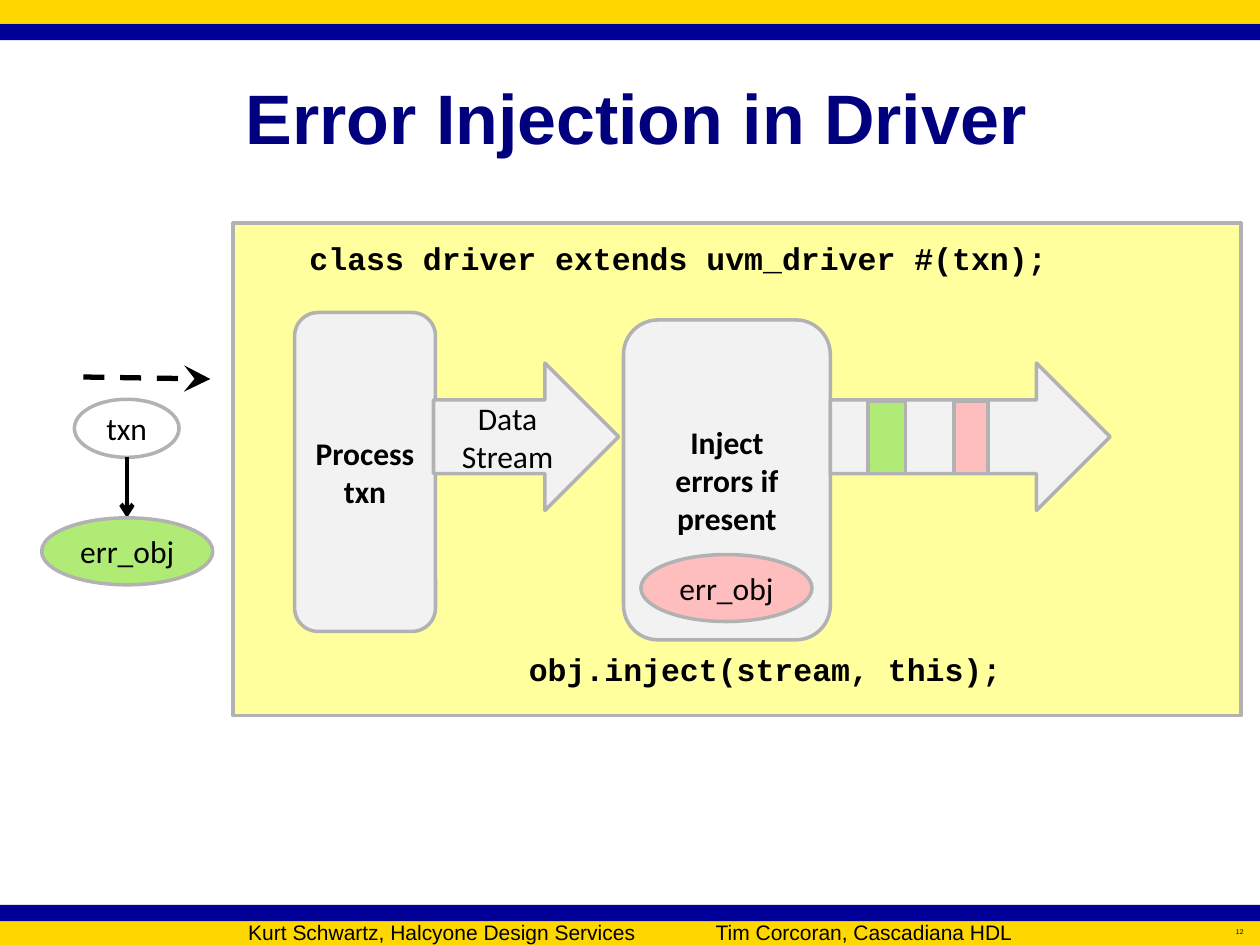
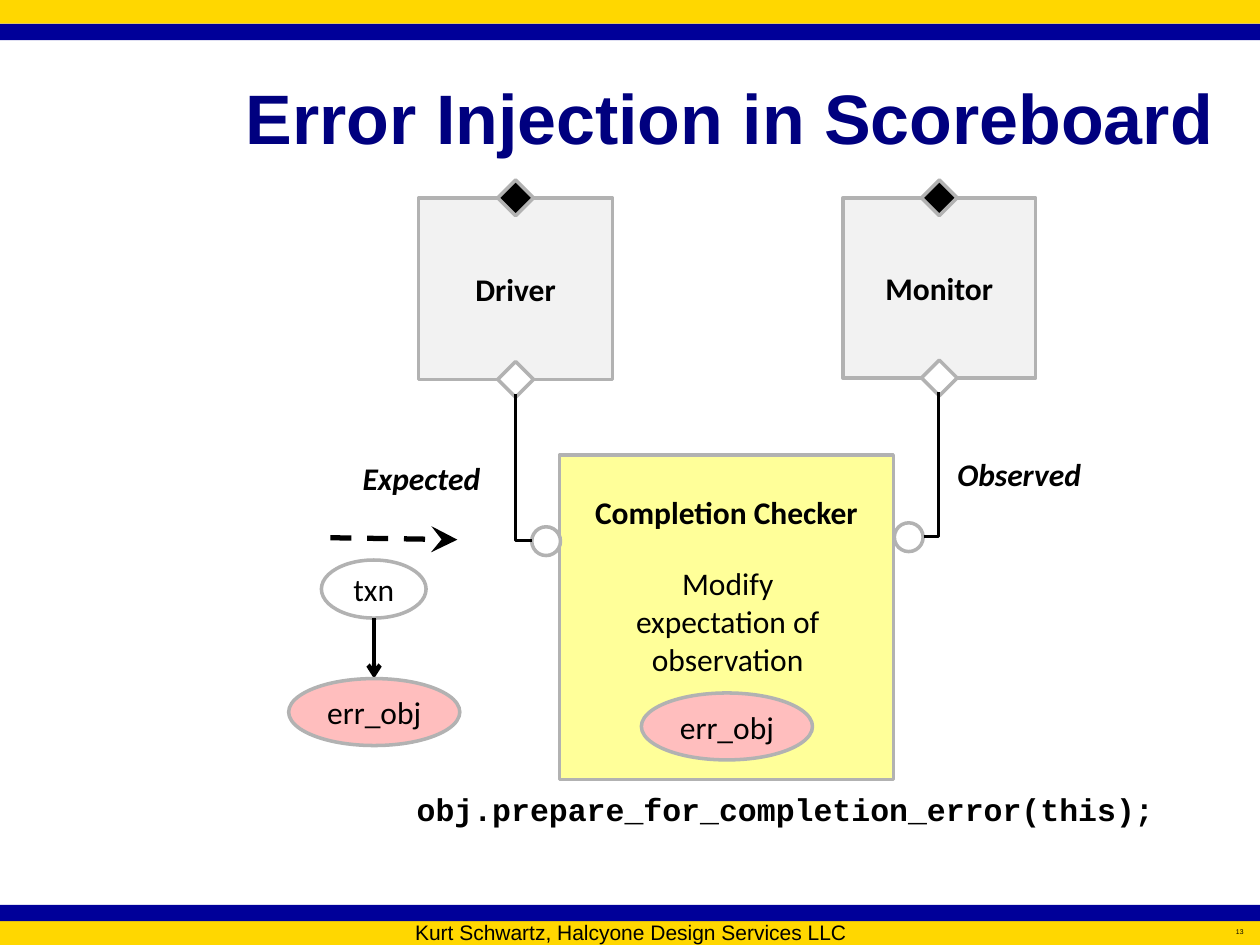
from dataclasses import dataclass

from pptx import Presentation
from pptx.dml.color import RGBColor
from pptx.enum.dml import MSO_LINE
from pptx.enum.shapes import MSO_CONNECTOR, MSO_SHAPE
from pptx.enum.text import MSO_ANCHOR, PP_ALIGN
from pptx.oxml.ns import qn
from pptx.shapes.autoshape import Shape
from pptx.shapes.connector import Connector
from pptx.slide import Slide, SlideLayout
from pptx.text.text import TextFrame
from pptx.util import Cm, Pt
from lxml.etree import SubElement

GOLD = RGBColor(0xFF, 0xD7, 0x00)
BLUE = RGBColor(0x00, 0x00, 0x99)
NAVY = RGBColor(0x00, 0x00, 0x7F)
BLACK = RGBColor(0x00, 0x00, 0x00)
WHITE = RGBColor(0xFF, 0xFF, 0xFF)
OUTLINE = RGBColor(0xB2, 0xB2, 0xB2)
GREY = RGBColor(0xF2, 0xF2, 0xF2)
YELLOW = RGBColor(0xFF, 0xFF, 0x9E)
CHECKER_YELLOW = RGBColor(0xFF, 0xFF, 0x99)
GREEN = RGBColor(0xB0, 0xEB, 0x75)
PINK = RGBColor(0xFF, 0xBE, 0xBE)

SLIDE_WIDTH, SLIDE_HEIGHT = 25.4, 19.05
GOLD_HEIGHT, BLUE_HEIGHT = 0.48, 0.33
FOOTER_TOP, FOOTER_HEIGHT = 18.57, 0.43
PORT_SIZE = 0.51
SOCKET_SIZE = 0.58


@dataclass(frozen=True)
class Box:
    """A place on the slide, in centimetres."""
    left: float
    top: float
    width: float
    height: float

    def lengths(self) -> tuple[Cm, Cm, Cm, Cm]:
        return Cm(self.left), Cm(self.top), Cm(self.width), Cm(self.height)


@dataclass(frozen=True)
class TextStyle:
    font: str = "Calibri"
    size: float = 18
    bold: bool = False
    italic: bool = False
    color: RGBColor = BLACK
    align: PP_ALIGN = PP_ALIGN.CENTER


@dataclass(frozen=True)
class Block:
    """A filled and outlined shape that may hold text."""
    kind: MSO_SHAPE
    box: Box
    fill: RGBColor
    text: str = ""
    bold: bool = False


@dataclass(frozen=True)
class Label:
    text: str
    box: Box
    style: TextStyle
    wrap: bool = False
    anchor: MSO_ANCHOR = MSO_ANCHOR.TOP


@dataclass(frozen=True)
class Credit:
    """A footer text, centred on a distance from the left edge."""
    text: str
    center: float
    width: float


TITLE = TextStyle("Arial", 40, bold=True, color=NAVY, align=PP_ALIGN.LEFT)
FOOTER = TextStyle("Arial", 12)
PAGE_NUMBER = TextStyle("Arial", 3.9, align=PP_ALIGN.RIGHT)
CODE = TextStyle("Courier New", bold=True, align=PP_ALIGN.LEFT)
STREAM_NAME = TextStyle(bold=True, italic=True, align=PP_ALIGN.LEFT)


def write(frame: TextFrame, text: str, style: TextStyle) -> None:
    frame.text = text
    for paragraph in frame.paragraphs:
        paragraph.alignment = style.align
        font = paragraph.font
        font.name, font.size = style.font, Pt(style.size)
        font.bold, font.italic = style.bold, style.italic
        font.color.rgb = style.color


def add_block(slide: Slide, block: Block) -> Shape:
    shape = slide.shapes.add_shape(block.kind, *block.box.lengths())
    shape.shadow.inherit = False
    shape.fill.solid()
    shape.fill.fore_color.rgb = block.fill
    shape.line.color.rgb = OUTLINE
    shape.line.width = Pt(2)
    if block.text:
        shape.text_frame.vertical_anchor = MSO_ANCHOR.MIDDLE
        write(shape.text_frame, block.text, TextStyle(bold=block.bold))
    return shape


def add_label(slide: Slide, label: Label) -> None:
    frame = slide.shapes.add_textbox(*label.box.lengths()).text_frame
    frame.word_wrap = label.wrap
    frame.vertical_anchor = label.anchor
    write(frame, label.text, label.style)


def add_line(slide: Slide, start: tuple[float, float], end: tuple[float, float],
             width: float, head: str = "", head_size: str = "med",
             dashed: bool = False) -> Connector:
    line = slide.shapes.add_connector(
        MSO_CONNECTOR.STRAIGHT, *(Cm(length) for length in (*start, *end)))
    line.line.color.rgb = BLACK
    line.line.width = Pt(width)
    if dashed:
        line.line.dash_style = MSO_LINE.DASH
    properties = line.element.spPr
    if head:
        SubElement(properties.find(qn("a:ln")), qn("a:tailEnd"),
                   type=head, w=head_size, len=head_size)
    SubElement(properties, qn("a:effectLst"))
    return line


def add_link(slide: Slide, socket: tuple[float, float], port: tuple[float, float]) -> None:
    """Run sideways from the socket, then up to the port."""
    link = add_line(slide, socket, port, 1.5)
    link.element.spPr.find(qn("a:prstGeom")).set("prst", "bentConnector2")


def add_bands(slide: Slide, layout: SlideLayout) -> None:
    """Draw the top and bottom bands, then move them to the layout."""
    bands = [
        (0, GOLD_HEIGHT, GOLD),
        (GOLD_HEIGHT, BLUE_HEIGHT, BLUE),
        (SLIDE_HEIGHT - GOLD_HEIGHT, GOLD_HEIGHT, GOLD),
        (SLIDE_HEIGHT - GOLD_HEIGHT - BLUE_HEIGHT, BLUE_HEIGHT, BLUE),
    ]
    for number, (top, height, color) in enumerate(bands, start=101):
        band = add_block(slide, Block(MSO_SHAPE.RECTANGLE,
                                      Box(0, top, SLIDE_WIDTH, height), color))
        band.line.fill.background()
        band.element.nvSpPr.cNvPr.set("id", str(number))
        layout.shapes.element.append(band.element)


def start_slide(slide: Slide, title: str, number: int, credits: list[Credit]) -> None:
    heading = slide.shapes.title
    heading.left, heading.top, heading.width, heading.height = Box(
        4.7, 0.76, 20.32, 3.18).lengths()
    heading.text_frame.vertical_anchor = MSO_ANCHOR.MIDDLE
    write(heading.text_frame, title, TITLE)
    for credit in credits:
        place = Box(credit.center - credit.width / 2, FOOTER_TOP,
                    credit.width, FOOTER_HEIGHT)
        add_label(slide, Label(credit.text, place, FOOTER, True, MSO_ANCHOR.MIDDLE))
    place = Box(22.78, FOOTER_TOP, 2.54, FOOTER_HEIGHT)
    add_label(slide, Label(str(number), place, PAGE_NUMBER, True, MSO_ANCHOR.MIDDLE))


def error_object(left: float, top: float, fill: RGBColor) -> Block:
    return Block(MSO_SHAPE.OVAL, Box(left, top, 3.45, 1.35), fill, "err_obj")


def add_transaction(slide: Slide, left: float, top: float, error_fill: RGBColor) -> None:
    """Draw the incoming txn with the error object it points to."""
    add_line(slide, (left + 0.84, top), (left + 3.4, top + 0.04), 3,
             "stealth", "lg", dashed=True)
    add_block(slide, Block(MSO_SHAPE.OVAL, Box(left + 0.66, top + 0.45, 2.11, 1.17),
                           WHITE, "txn"))
    add_line(slide, (left + 1.72, top + 1.62), (left + 1.72, top + 2.84), 2.5, "arrow")
    add_block(slide, error_object(left, top + 2.84, error_fill))


def add_component(slide: Slide, name: str, box: Box) -> None:
    """Draw a named box with a black port above and a white port below."""
    add_block(slide, Block(MSO_SHAPE.RECTANGLE, box, GREY, name, True))
    left = box.left + (box.width - PORT_SIZE) / 2
    for edge, fill in ((box.top, BLACK), (box.top + box.height, WHITE)):
        place = Box(left, edge - PORT_SIZE / 2, PORT_SIZE, PORT_SIZE)
        add_block(slide, Block(MSO_SHAPE.RECTANGLE, place, fill)).rotation = 45


def build_driver_slide(slide: Slide) -> None:
    start_slide(slide, "Error Injection in Driver", 12, [
        Credit("Kurt Schwartz, Halcyone Design Services", 8.91, 8.5),
        Credit("Tim Corcoran, Cascadiana HDL", 17.42, 8.5),
    ])
    blocks = [
        Block(MSO_SHAPE.RECTANGLE, Box(4.7, 4.5, 20.32, 9.93), YELLOW),
        Block(MSO_SHAPE.ROUNDED_RECTANGLE, Box(5.94, 6.3, 2.84, 6.43), GREY,
              "Process\vtxn", True),
        Block(MSO_SHAPE.ROUNDED_RECTANGLE, Box(12.57, 6.45, 4.17, 6.45), GREY,
              "Inject\verrors if\vpresent", True),
        error_object(12.92, 11.18, PINK),
        Block(MSO_SHAPE.RIGHT_ARROW, Box(8.74, 7.32, 3.73, 2.97), GREY, "Data Stream"),
        Block(MSO_SHAPE.RIGHT_ARROW, Box(16.74, 7.32, 5.64, 2.97), GREY),
        Block(MSO_SHAPE.RECTANGLE, Box(17.5, 8.08, 0.76, 1.47), GREEN),
        Block(MSO_SHAPE.RECTANGLE, Box(19.23, 8.08, 0.69, 1.47), PINK),
    ]
    for block in blocks:
        add_block(slide, block)
    add_transaction(slide, 0.84, 7.6, GREEN)
    add_label(slide, Label("class driver extends uvm_driver #(txn);",
                           Box(5.99, 4.7, 15.37, 1.02), CODE))
    add_label(slide, Label("obj.inject(stream, this);",
                           Box(10.41, 12.98, 10.03, 1.02), CODE))


def build_scoreboard_slide(slide: Slide) -> None:
    start_slide(slide, "Error Injection in Scoreboard", 13, [
        Credit("Kurt Schwartz, Halcyone Design Services LLC", 12.72, 12),
    ])
    add_transaction(slide, 5.82, 10.84, PINK)
    checker = add_block(slide, Block(MSO_SHAPE.RECTANGLE, Box(11.28, 9.17, 6.73, 6.55),
                                     CHECKER_YELLOW, "Completion Checker", True))
    checker.text_frame.vertical_anchor = MSO_ANCHOR.TOP
    checker.text_frame.margin_top = Cm(0.76)
    add_component(slide, "Driver", Box(8.44, 3.99, 3.91, 3.66))
    add_component(slide, "Monitor", Box(16.99, 3.99, 3.89, 3.63))
    for left, top in ((10.72, 10.62), (18.03, 10.54)):
        add_block(slide, Block(MSO_SHAPE.OVAL, Box(left, top, SOCKET_SIZE, SOCKET_SIZE),
                               WHITE))
    add_link(slide, (10.72, 10.9), (10.4, 7.95))
    add_link(slide, (18.62, 10.82), (18.92, 7.9))
    labels = [
        Label("Expected", Box(7.06, 9.12, 3, 1.02), STREAM_NAME),
        Label("Observed", Box(19.05, 9.04, 3, 1.02), STREAM_NAME),
        Label("Modify expectation of observation", Box(12.04, 11.25, 5.26, 2.54),
              TextStyle(), True),
        Label("obj.prepare_for_completion_error(this);", Box(8.15, 15.8, 15.37, 1.02), CODE),
    ]
    for label in labels:
        add_label(slide, label)
    add_block(slide, error_object(12.93, 13.97, PINK))


def main() -> None:
    deck = Presentation()
    deck.slide_width, deck.slide_height = Cm(SLIDE_WIDTH), Cm(SLIDE_HEIGHT)
    title_only = deck.slide_layouts[5]
    driver_slide = deck.slides.add_slide(title_only)
    add_bands(driver_slide, title_only)
    build_driver_slide(driver_slide)
    build_scoreboard_slide(deck.slides.add_slide(title_only))
    deck.save("out.pptx")


if __name__ == "__main__":
    main()
